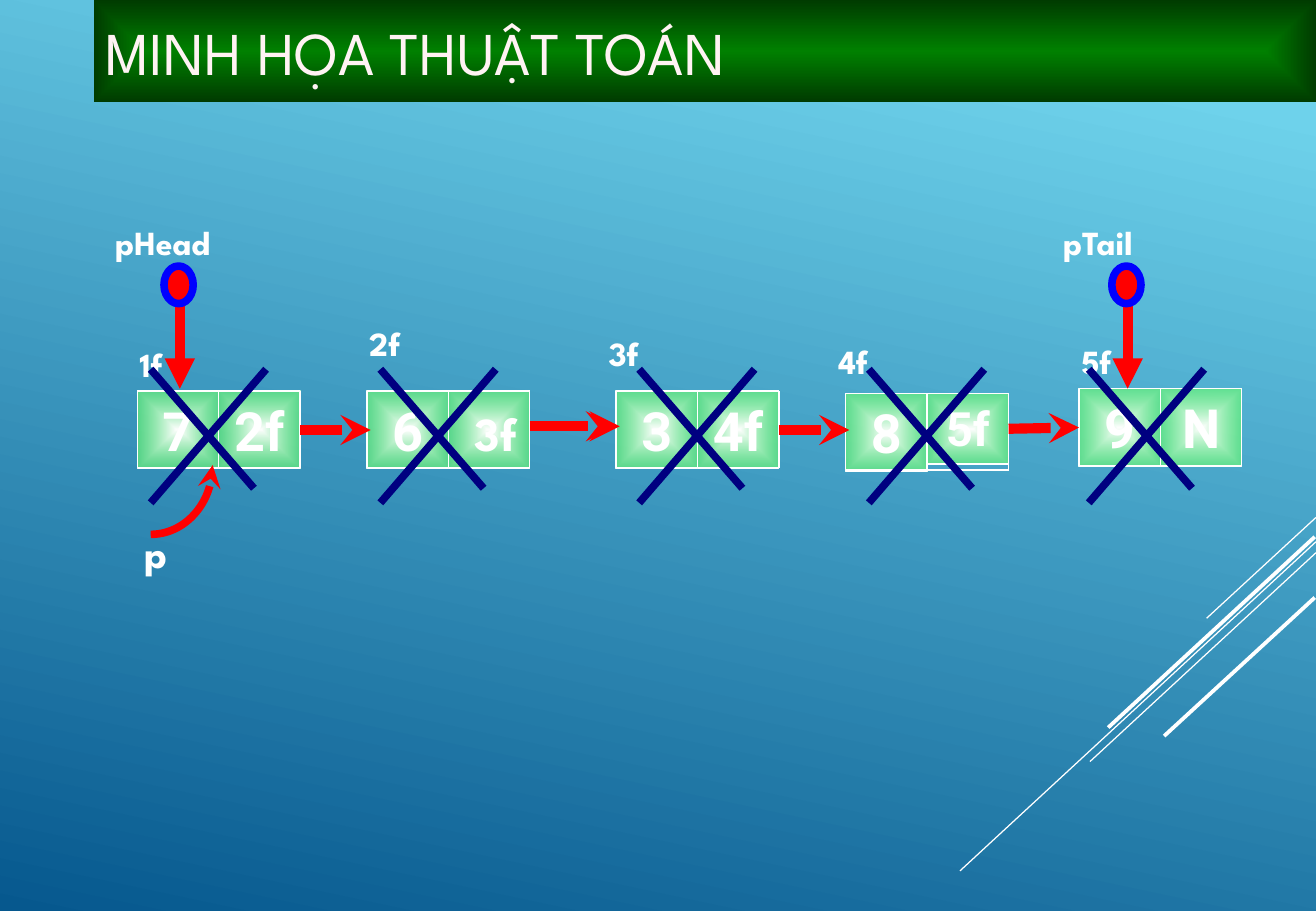
from dataclasses import dataclass
from math import cos, pi, sin
from typing import Optional

from lxml.etree import SubElement
from pptx import Presentation
from pptx.dml.color import RGBColor as RGB
from pptx.enum.dml import MSO_LINE
from pptx.enum.shapes import MSO_CONNECTOR as CONN, MSO_SHAPE as SHAPE
from pptx.enum.text import MSO_ANCHOR as ANCHOR, MSO_AUTO_SIZE as AUTO, PP_ALIGN as ALIGN
from pptx.oxml.ns import qn
from pptx.shapes.autoshape import Shape
from pptx.shapes.connector import Connector
from pptx.slide import Slide
from pptx.text.text import TextFrame
from pptx.util import Emu, Pt

SCALE = 9144
CELL_W, CELL_H = 67, 64


@dataclass(frozen=True)
class Theme:
    white: str = "FFFFFF"
    title_text: str = "FFF3F3"
    sky: str = "6ED2EB"
    deep: str = "06588E"
    bar: str = "008000"
    bar_edge: str = "003B00"
    cell_edge: str = "69FF69"
    red: str = "FF0000"
    blue: str = "0000FF"
    navy: str = "000080"
    heading: str = "League Spartan"
    body: str = "Roboto"
    title_size: int = 36
    value_size: int = 32
    small_value_size: int = 28
    pointer_size: int = 24
    label_size: int = 20


@dataclass(frozen=True)
class Node:
    x: int
    y: int
    value: str
    link: str
    label: str
    label_x: int
    label_y: int
    cross_x: int
    link_h: int = CELL_H
    link_size: int = 32


@dataclass(frozen=True)
class Link:
    x1: int
    x2: int
    y: int
    source: Optional[int] = None
    target: Optional[int] = None
    dash: Optional[MSO_LINE] = None


@dataclass(frozen=True)
class Pointer:
    name: str
    x: int


T = Theme()
NODES = (
    Node(113, 322, "7", "2f", "1f", 105, 278, 124),
    Node(302, 322, "6", "", "2f", 294, 261, 313),
    Node(507, 322, "3", "4f", "3f", 491, 269, 526),
    Node(696, 324, "8", "5f", "4f", 680, 276, 715, 58, T.small_value_size),
    Node(888, 320, "9", "N", "5f", 880, 276, 896),
)
LINKS = (
    Link(247, 305, 354, source=0),
    Link(436, 507, 351),
    Link(641, 699, 354, source=2),
    Link(830, 888, 353, source=3, target=4),
    Link(439, 510, 351, dash=MSO_LINE.ROUND_DOT),
)
POINTERS = (Pointer("pHead", 85), Pointer("pTail", 865))
STRIPES = (
    (1083, 426, 993, 509, 0.75),
    (1083, 446, 790, 717, 0.75),
    (1083, 455, 897, 627, 0.75),
    (1082, 442, 912, 599, 2.25),
    (1082, 492, 958, 606, 2.25),
)


def px(n: float) -> Emu:
    return Emu(round(n * SCALE))


def write(tf: TextFrame, text: str, *, size: int, font: str = T.heading, color: str = T.white,
          bold: bool = True, align: ALIGN = ALIGN.LEFT, anchor: ANCHOR = ANCHOR.TOP,
          grow: bool = True) -> None:
    tf.word_wrap = True
    tf.auto_size = AUTO.SHAPE_TO_FIT_TEXT if grow else AUTO.NONE
    tf.vertical_anchor = anchor
    p = tf.paragraphs[0]
    p.alignment = align
    if grow:
        before = SubElement(p._p.get_or_add_pPr(), qn("a:spcBef"))
        SubElement(before, qn("a:spcPct"), val="50000")
    r = p.add_run()
    r.text = text
    r.font.size, r.font.name, r.font.bold = Pt(size), font, bold
    r.font.color.rgb = RGB.from_string(color)


def glow(sp: Shape, inner: str, outer: str, opacity: int = 100) -> None:
    sp.fill.gradient()
    for stop, color, position in zip(sp.fill.gradient_stops, (inner, outer), (0, 1)):
        stop.color.rgb = RGB.from_string(color)
        stop.position = position
    grad = sp.element.spPr.find(qn("a:gradFill"))
    SubElement(grad.findall(".//" + qn("a:srgbClr"))[-1], qn("a:alpha"), val=str(opacity * 1000))
    grad.remove(grad.find(qn("a:lin")))
    path = SubElement(grad, qn("a:path"), path="shape")
    SubElement(path, qn("a:fillToRect"), **dict.fromkeys("ltrb", "50000"))


def outline(sp: Shape | Connector, color: str, width: float, head: Optional[str] = None,
            dash: Optional[MSO_LINE] = None) -> None:
    sp.line.color.rgb = RGB.from_string(color)
    sp.line.width = Pt(width)
    if dash is not None:
        sp.line.dash_style = dash
    if head:
        SubElement(sp.element.spPr.find(qn("a:ln")), qn("a:tailEnd"), type=head)


def line(s: Slide, x1: int, y1: int, x2: int, y2: int, color: str = T.white, width: float = 0.75,
         head: Optional[str] = None, dash: Optional[MSO_LINE] = None) -> Connector:
    c = s.shapes.add_connector(CONN.STRAIGHT, px(x1), px(y1), px(x2), px(y2))
    outline(c, color, width, head, dash)
    SubElement(c.element.spPr, qn("a:effectLst"))
    return c


def shape(s: Slide, kind: SHAPE, x: int, y: int, w: int, h: int) -> Shape:
    sp = s.shapes.add_shape(kind, px(x), px(y), px(w), px(h))
    sp.shadow.inherit = False
    return sp


def label(s: Slide, text: str, x: int, y: int, w: int, h: int, size: int = T.label_size) -> None:
    write(s.shapes.add_textbox(px(x), px(y), px(w), px(h)).text_frame, text, size=size)


def cell(s: Slide, x: int, y: int, h: int, text: str, size: int) -> Shape:
    sp = shape(s, SHAPE.RECTANGLE, x, y, CELL_W, h)
    glow(sp, T.white, T.cell_edge, 60)
    outline(sp, T.white, 0.75)
    if text:
        write(sp.text_frame, text, size=size, font=T.body, align=ALIGN.CENTER)
    return sp


def draw_node(s: Slide, n: Node) -> tuple[Shape, Shape]:
    link = cell(s, n.x + CELL_W, n.y, n.link_h, n.link, n.link_size)
    value = cell(s, n.x, n.y, CELL_H, n.value, T.value_size)
    bottom = n.y + CELL_H - 1
    for y in (n.y, bottom):
        line(s, n.x, y, n.x + 2 * CELL_W, y)
    for i in range(3):
        line(s, n.x + i * CELL_W, n.y, n.x + i * CELL_W, bottom)
    return value, link


def draw_link(s: Slide, k: Link, cells: list[tuple[Shape, Shape]]) -> None:
    c = line(s, k.x1, k.y, k.x2, k.y, T.red, 6, "stealth", k.dash)
    if k.source is not None:
        c.begin_connect(cells[k.source][1], 3)
    if k.target is not None:
        c.end_connect(cells[k.target][0], 1)


def draw_pointer(s: Slide, pt: Pointer) -> None:
    line(s, pt.x + 63, 249, pt.x + 63, 320, T.red, 6, "triangle")
    dot = shape(s, SHAPE.OVAL, pt.x + 50, 219, 24, 31)
    dot.fill.solid()
    dot.fill.fore_color.rgb = RGB.from_string(T.red)
    outline(dot, T.blue, 4.5)
    label(s, pt.name, pt.x, 178, 126, 43)


def draw_curve(s: Slide, x: int, y: int, w: int, h: int, steps: int = 24) -> None:
    angles = [i * pi / 2 / steps for i in range(steps + 1)]
    points = [(px(x + w * sin(a)), px(y + h * cos(a))) for a in angles]
    builder = s.shapes.build_freeform(*points[0])
    builder.add_line_segments(points[1:], close=False)
    sp = builder.convert_to_shape()
    sp.shadow.inherit = False
    sp.fill.background()
    outline(sp, T.red, 4.5, "stealth")


def main() -> None:
    prs = Presentation()
    prs.slide_width, prs.slide_height = px(1083), px(750)
    s = prs.slides.add_slide(prs.slide_layouts[5])
    bg = s.background.fill
    bg.gradient()
    bg.gradient_angle = 258
    for stop, color, position in zip(bg.gradient_stops, (T.sky, T.deep), (0.1, 1)):
        stop.color.rgb = RGB.from_string(color)
        stop.position = position
    title = s.shapes.title
    title.left, title.top, title.width, title.height = px(77), px(0), px(1006), px(84)
    glow(title, T.bar, T.bar_edge)
    write(title.text_frame, "MINH HỌA THUẬT TOÁN", size=T.title_size, color=T.title_text,
          bold=False, anchor=ANCHOR.MIDDLE, grow=False)
    for x1, y1, x2, y2, width in STRIPES:
        line(s, x1, y1, x2, y2, width=width)
    cells = [draw_node(s, n) for n in NODES]
    for k in LINKS:
        draw_link(s, k, cells)
    for n in NODES:
        label(s, n.label, n.label_x, n.label_y, 55, 43)
    label(s, "3f", 381, 328, 63, 57, T.small_value_size)
    for pt in POINTERS:
        draw_pointer(s, pt)
    draw_curve(s, 124, 383, 51, 57)
    label(s, "p", 109, 430, 39, 50, T.pointer_size)
    for n in NODES:
        line(s, n.cross_x, 304, n.cross_x + 85, 402, T.navy, 4.5)
        line(s, n.cross_x + 95, 304, n.cross_x, 414, T.navy, 4.5)
    prs.save("out.pptx")


if __name__ == "__main__":
    main()
